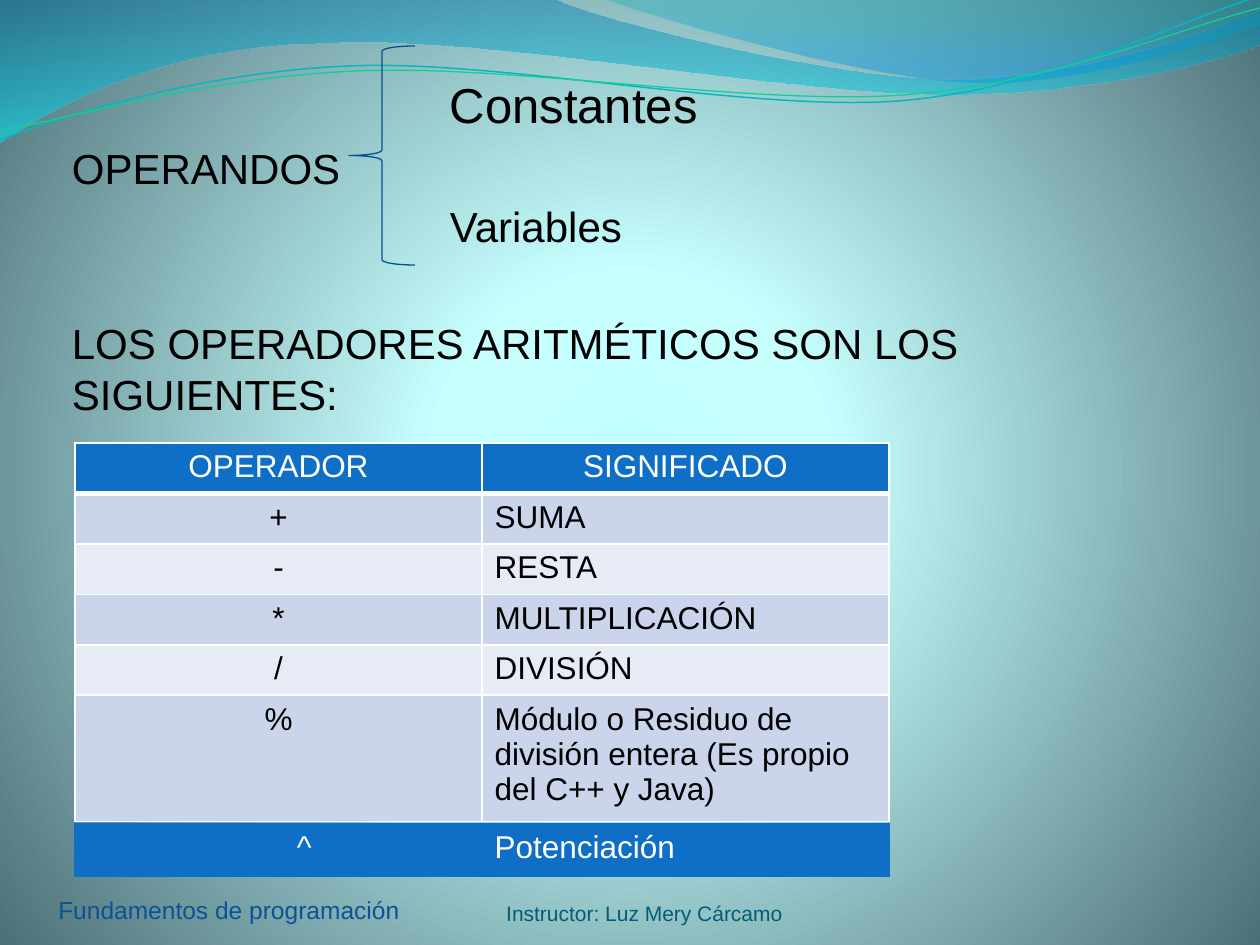
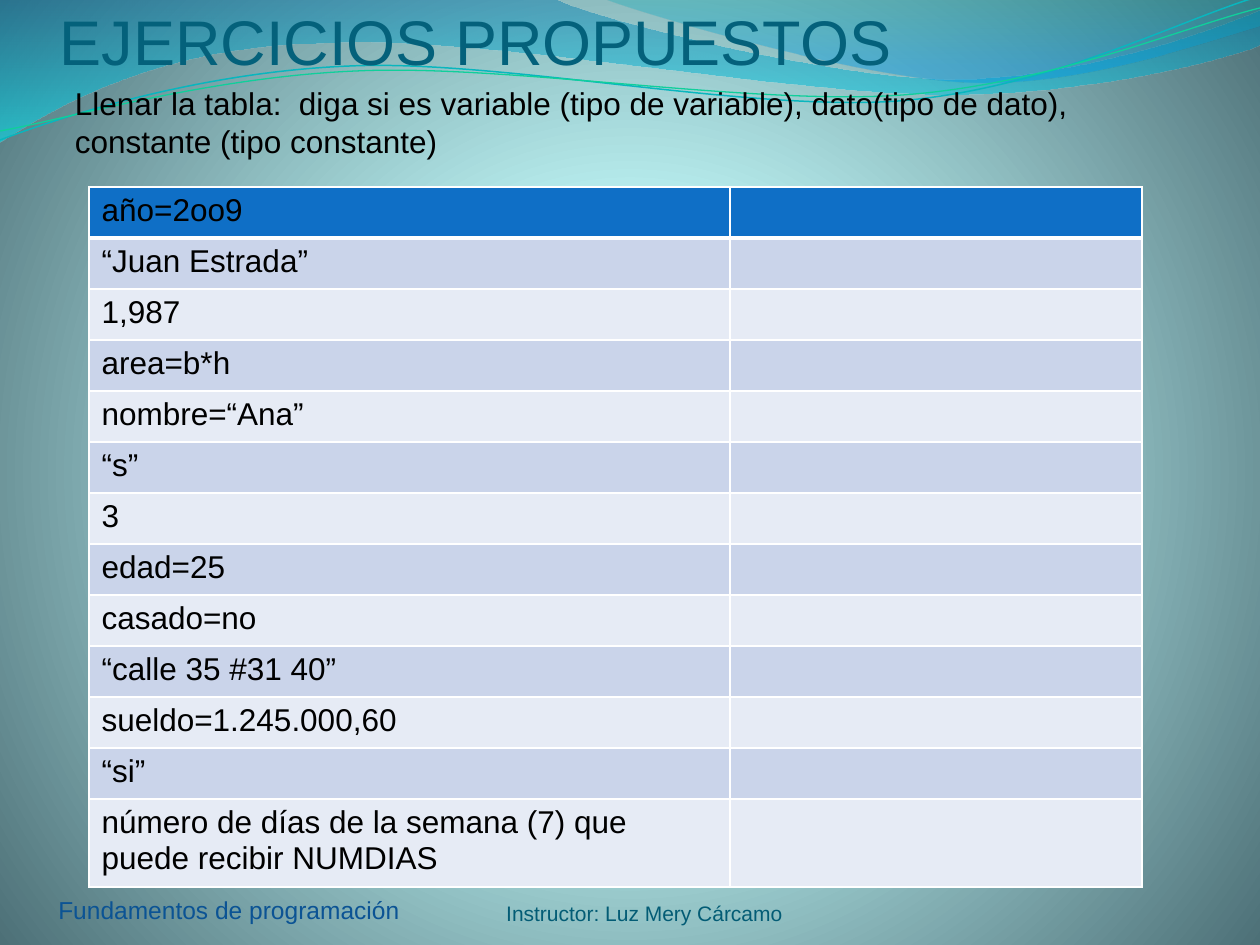
from lxml import etree
from pptx import Presentation
from pptx.dml.color import RGBColor
from pptx.enum.shapes import MSO_SHAPE as Shape
from pptx.enum.text import MSO_ANCHOR as Anchor, PP_ALIGN as Align
from pptx.oxml import parse_xml
from pptx.oxml.ns import qn
from pptx.util import Emu, Pt

# Content
TITLE = "EJERCICIOS PROPUESTOS"
COURSE = "Fundamentos de programación"
TUTOR = "Instructor: Luz Mery Cárcamo"
TASK = ("Llenar la tabla:  diga si es variable (tipo de variable), "
        "dato(tipo de dato), constante (tipo constante)")
# text, size, indent in px, space before in points
NOTES = [
    ("Constantes", 28, 378, 0),
    ("OPERANDOS", 24, 0, 4.8),
    ("Variables", 24, 378, 4.8),
    ("LOS OPERADORES ARITMÉTICOS SON LOS SIGUIENTES:", 24, 0, 38),
]
SIGNS = [
    ("OPERADOR", "SIGNIFICADO"),
    ("+", "SUMA"),
    ("-", "RESTA"),
    ("*", "MULTIPLICACIÓN"),
    ("/", "DIVISIÓN"),
    ("%", "Módulo o Residuo de división entera (Es propio del C++ y Java)"),
]
POWER = [("^", "Potenciación")]
ITEMS = [
    "año=2oo9", "“Juan Estrada”", "1,987", "area=b*h", "nombre=“Ana”", "“s”",
    "3", "edad=25", "casado=no", "“calle 35 #31 40”", "sueldo=1.245.000,60",
    "“si”", "número de días de la semana (7) que puede recibir NUMDIAS",
]

# Look
FONT = "Arial"
HUE = {
    "ink": "000000", "white": "FFFFFF", "head": "0F6FC6",
    "dark": "CAD4EA", "pale": "E6EBF5", "title": "04617B",
    "course": "0B5394", "tutor": "035C75", "brace": "075192",
    "aqua": "09B6BE", "green": "10CF9B",
}
# Gradient stops: place, colour, opacity, all in percent
GLOW = [(0, "C0FFFF", 100), (25, "C7FFFF", 100), (100, "4D7077", 100)]
ROUND = ('<a:path path="circle"><a:fillToRect l="50000" t="50000" '
         'r="50000" b="50000"/></a:path>')
DOWN = '<a:lin ang="5400000" scaled="0"/>'
# Outlines: a pair is a line, six numbers are a curve
BANDS = [
    ([(0, 0), (554, -1), (600, 21, 837, 79, 955, 79),
      (1074, 79, 1207, 33, 1260, 11), (1261, 45),
      (1239, 55, 1096, 96, 940, 94), (784, 94, 481, 35, 324, 43),
      (163, 45, 58, 105, -1, 142)],
     [(0, "0079AD", 44), (100, "00E9F7", 55)]),
    ([(604, -1), (641, 14, 859, 78, 969, 82),
      (1079, 87, 1211, 40, 1260, 26), (1260, 0)],
     [(0, "00ABB4", 29), (80, "0099E4", 44), (100, "0099E4", 44)]),
]
THREADS = [
    ([(0, 140), (60, 117, 199, 72, 349, 66), (498, 59, 747, 112, 898, 101),
      (1049, 89, 1182, 19, 1257, -3)], "aqua", 0.85),
    ([(0, 131), (59, 121, 207, 77, 357, 71), (508, 64, 752, 106, 903, 95),
      (1053, 84, 1186, 26, 1260, 8)], "green", 0.75),
]


def px(n):
    return Emu(round(n * 914400 / 126))


def rgb(name):
    return RGBColor.from_string(HUE[name])


def blend(box, stops, way):
    """Swap the solid fill inside box for a gradient."""
    marks = "".join(
        f'<a:gs pos="{at * 1000}"><a:srgbClr val="{hue}">'
        f'<a:alpha val="{part * 1000}"/></a:srgbClr></a:gs>'
        for at, hue, part in stops)
    grad = parse_xml(
        '<a:gradFill xmlns:a="http://schemas.openxmlformats.org/drawingml/'
        f'2006/main" rotWithShape="1"><a:gsLst>{marks}</a:gsLst>{way}'
        '</a:gradFill>')
    box.replace(box.find(qn("a:solidFill")), grad)


def draw(slide, parts, close):
    """Build the outline from end points, then bend its curved steps."""
    ends = [(px(part[-2]), px(part[-1])) for part in parts]
    pen = slide.shapes.build_freeform(*ends[0])
    pen.add_line_segments(ends[1:], close=close)
    form = pen.convert_to_shape()
    form.shadow.inherit = False
    steps = list(form._element.iter(qn("a:lnTo")))
    for part, step in zip(parts[1:], steps):
        if len(part) == 6:
            step.tag = qn("a:cubicBezTo")
            for i in (0, 2):
                dot = etree.Element(qn("a:pt"),
                                    x=str(px(part[i]) - form.left),
                                    y=str(px(part[i + 1]) - form.top))
                step.insert(i // 2, dot)
    return form


def style(para, size, hue, align=Align.LEFT):
    para.alignment = align
    para.font.name = FONT
    para.font.size = Pt(size)
    para.font.color.rgb = rgb(hue)


def label(slide, area, text, size, hue, align=Align.LEFT,
          anchor=Anchor.TOP, pads=(13, 6, 13, 6)):
    frame = slide.shapes.add_textbox(*map(px, area)).text_frame
    frame.word_wrap = True
    frame.vertical_anchor = anchor
    (frame.margin_left, frame.margin_top,
     frame.margin_right, frame.margin_bottom) = map(px, pads)
    para = frame.paragraphs[0]
    para.text = text
    style(para, size, hue, align)
    return frame


def edge(cell, hue, base):
    """Draw the four borders; base is the width of the lower one."""
    props = cell._tc.get_or_add_tcPr()
    for i, side in enumerate(("lnL", "lnR", "lnT", "lnB")):
        wide = base if side == "lnB" else 1
        line = etree.Element(qn(f"a:{side}"), w=str(Pt(wide)))
        fill = etree.SubElement(line, qn("a:solidFill"))
        etree.SubElement(fill, qn("a:srgbClr"), val=HUE[hue])
        props.insert(i, line)


def grid(slide, left, top, cols, rows, data, ink, rim="white", mid=False):
    """Add a banded table; ink colours the head row, mid centres signs."""
    table = slide.shapes.add_table(
        len(rows), len(cols), px(left), px(top),
        px(sum(cols)), px(sum(rows))).table
    table.first_row = table.horz_banding = False
    for col, wide in zip(table.columns, cols):
        col.width = px(wide)
    for r, (row, tall) in enumerate(zip(data, rows)):
        table.rows[r].height = px(tall)
        for c, text in enumerate(row):
            cell = table.cell(r, c)
            cell.fill.solid()
            band = "head" if r == 0 else "dark" if r % 2 else "pale"
            cell.fill.fore_color.rgb = rgb(band)
            edge(cell, rim, 3 if r == 0 and len(rows) > 1 else 1)
            para = cell.text_frame.paragraphs[0]
            para.text = text
            center = mid and (r == 0 or c == 0)
            style(para, 18, "ink" if r else ink,
                  Align.CENTER if center else Align.LEFT)
    return table


def base(deck):
    """Start a slide with backdrop, waves and footers."""
    slide = deck.slides.add_slide(deck.slide_layouts[6])
    slide.background.fill.solid()
    blend(slide._element.find(f".//{qn('p:bgPr')}"), GLOW, ROUND)
    for parts, stops in BANDS:
        form = draw(slide, parts, True)
        form.line.fill.background()
        form.fill.solid()
        blend(form._element.spPr, stops, DOWN)
    for parts, hue, wide in THREADS:
        form = draw(slide, parts, False)
        form.fill.background()
        form.line.color.rgb = rgb(hue)
        form.line.width = Pt(wide)
    label(slide, (29, 885, 400, 50), COURSE, 14, "course",
          Align.CENTER, Anchor.MIDDLE)
    label(slide, (413, 876, 463, 50), TUTOR, 12, "tutor",
          Align.CENTER, Anchor.BOTTOM, (0, 0, 0, 0))
    return slide


def signs(deck):
    slide = base(deck)
    # Operands and their brace
    frame = label(slide, (59, 69, 1134, 771), NOTES[0][0], 28, "ink")
    for i, (text, size, dent, gap) in enumerate(NOTES):
        para = frame.add_paragraph() if i else frame.paragraphs[0]
        para.text = text
        style(para, size, "ink")
        para.space_before = Pt(gap)
        para._p.get_or_add_pPr().set("marL", str(px(dent)))
    brace = slide.shapes.add_shape(
        Shape.LEFT_BRACE, px(349), px(46), px(66), px(219))
    brace.adjustments[0] = 0.08
    brace.shadow.inherit = False
    brace.fill.background()
    brace.line.color.rgb = rgb("brace")
    brace.line.width = Pt(0.75)
    # Operators
    cols = [407] * 2
    grid(slide, 75, 443, cols, [36] * 5 + [78], SIGNS, "white", mid=True)
    power = grid(slide, 75, 824, cols, [52], POWER, "white", rim="head")
    power.cell(0, 0).margin_left = px(222)


def tasks(deck):
    slide = base(deck)
    label(slide, (60, 0, 1134, 78), TITLE, 36, "title",
          anchor=Anchor.BOTTOM, pads=(0, 6, 0, 0))
    label(slide, (62, 78, 1134, 90), TASK, 18, "ink")
    rows = [51] * len(ITEMS)
    grid(slide, 89, 187, [641, 412], rows, [(x, "") for x in ITEMS], "ink")


def main():
    deck = Presentation()
    deck.slide_width, deck.slide_height = px(1260), px(945)
    signs(deck)
    tasks(deck)
    deck.save("out.pptx")


if __name__ == "__main__":
    main()
